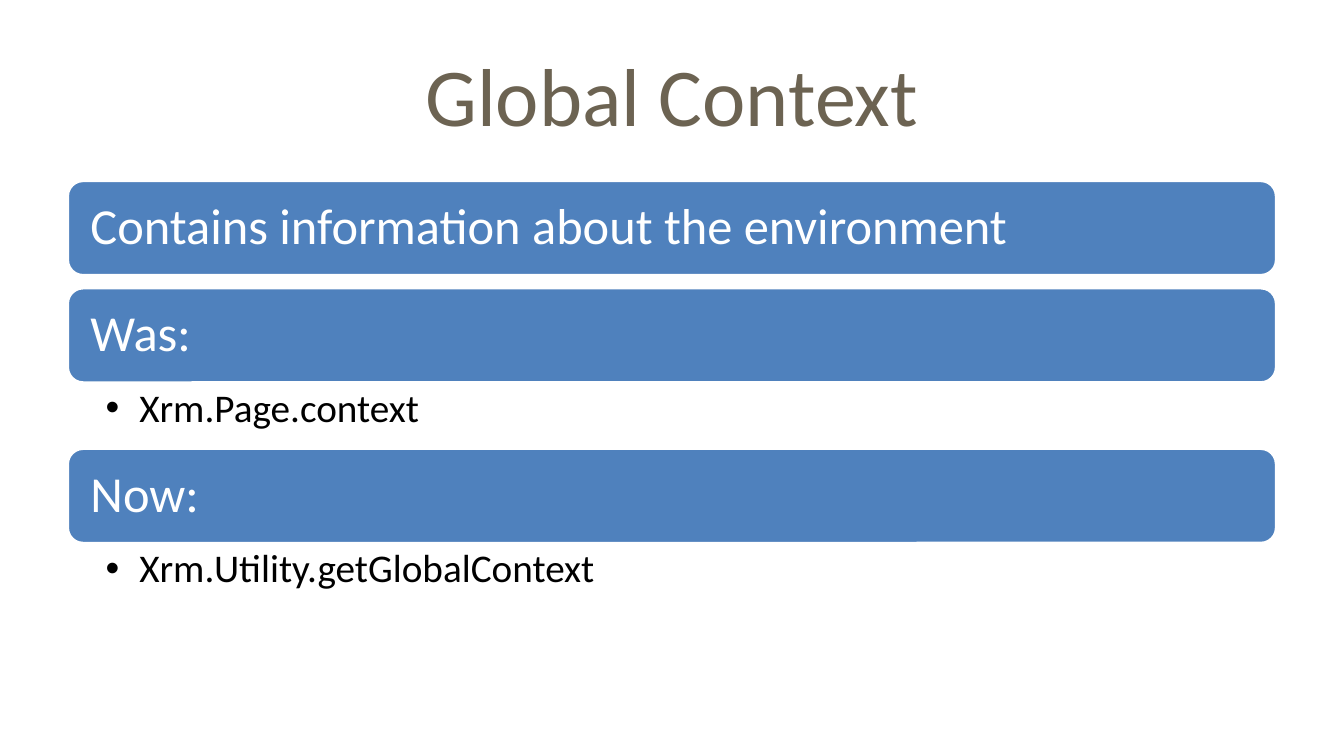
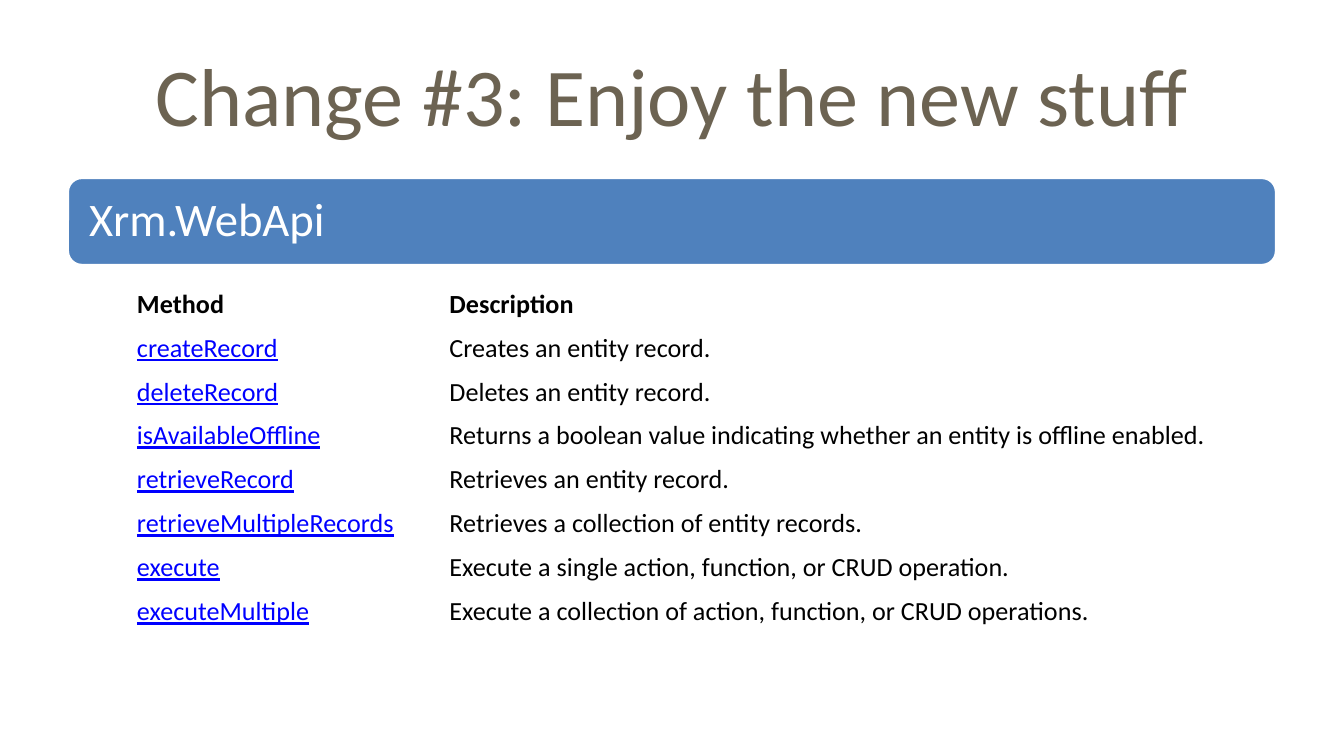
from pptx import Presentation
from pptx.dml.color import RGBColor
from pptx.enum.shapes import MSO_SHAPE
from pptx.enum.text import MSO_ANCHOR, MSO_AUTO_SIZE, PP_ALIGN
from pptx.util import Pt

FONT = "Calibri"
COLORS = {"title": "6C6352", "bar": "4F81BD", "white": "FFFFFF",
          "text": "000000", "link": "0000FF"}

CONTEXT_TITLE = "Global Context"
CONTEXT_SECTIONS = [
    ("Contains information about the environment", None),
    ("Was:", "Xrm.Page.context"),
    ("Now:", "Xrm.Utility.getGlobalContext"),
]

WEB_API_TITLE = "Change #3: Enjoy the new stuff"
WEB_API_HEADING = "Xrm.WebApi"
WEB_API_METHODS = [
    ("Method", "Description"),
    ("createRecord", "Creates an entity record."),
    ("deleteRecord", "Deletes an entity record."),
    ("isAvailableOffline", "Returns a boolean value indicating whether an entity is offline enabled."),
    ("retrieveRecord", "Retrieves an entity record."),
    ("retrieveMultipleRecords", "Retrieves a collection of entity records."),
    ("execute", "Execute a single action, function, or CRUD operation."),
    ("executeMultiple", "Execute a collection of action, function, or CRUD operations."),
]

SLIDE_WIDTH, SLIDE_HEIGHT = 720, 405
LEFT, WIDTH = 36, 648
TITLE_TOP, TITLE_HEIGHT = 16.2, 67.7
BAR_GAP, LIST_HEIGHT = 6.3, 34.8
COLUMN_WIDTHS = (167.4, 419.4)
ROW_HEIGHT = 23.3
TWO_CONTENT, TITLE_ONLY = 3, 5


def set_all(target, values):
    for name, value in values.items():
        setattr(target, name, value)


def color(name):
    return RGBColor.from_string(COLORS[name])


def margins(left, top, right, bottom):
    return {"margin_left": Pt(left), "margin_top": Pt(top),
            "margin_right": Pt(right), "margin_bottom": Pt(bottom)}


def write(frame, text, size, color_name, paragraph_format=None, **font_format):
    para = frame.paragraphs[0]
    set_all(para, paragraph_format or {})
    span = para.add_run()
    span.text = text
    set_all(span.font, {"name": FONT, "size": Pt(size), **font_format})
    span.font.color.rgb = color(color_name)
    return para


def place(shape, top, height):
    set_all(shape, {"left": Pt(LEFT), "top": Pt(top),
                    "width": Pt(WIDTH), "height": Pt(height)})


def add_page(deck, layout, title):
    page = deck.slides.add_slide(deck.slide_layouts[layout])
    place(page.shapes.title, TITLE_TOP, TITLE_HEIGHT)
    frame = page.shapes.title.text_frame
    set_all(frame, {"vertical_anchor": MSO_ANCHOR.MIDDLE,
                    "auto_size": MSO_AUTO_SIZE.NONE})
    write(frame, title, 44, "title", {"alignment": PP_ALIGN.CENTER})
    return page


def add_bar(page, text, top, height, size, inset):
    bar = page.shapes.add_shape(MSO_SHAPE.ROUNDED_RECTANGLE,
                                Pt(LEFT), Pt(top), Pt(WIDTH), Pt(height))
    bar.shadow.inherit = False
    bar.fill.solid()
    bar.fill.fore_color.rgb = color("bar")
    bar.line.color.rgb = color("white")
    bar.line.width = Pt(2)
    set_all(bar.text_frame, {"word_wrap": True,
                             "vertical_anchor": MSO_ANCHOR.MIDDLE,
                             **margins(inset, inset, inset, inset)})
    write(bar.text_frame, text, size, "white",
          {"alignment": PP_ALIGN.LEFT, "line_spacing": 0.9,
           "space_after": Pt(size * 0.35)})


def fill_list(body, text, top):
    place(body, top, LIST_HEIGHT)
    set_all(body.text_frame, {"auto_size": MSO_AUTO_SIZE.NONE,
                              "vertical_anchor": MSO_ANCHOR.TOP,
                              **margins(20.6, 2.7, 15, 2.7)})
    para = write(body.text_frame, text, 21, "text",
                 {"line_spacing": 0.9, "space_before": Pt(0),
                  "space_after": Pt(4.2)})
    properties = para._p.get_or_add_pPr()
    properties.set("marL", str(Pt(18)))
    properties.set("indent", str(-Pt(18)))


def build_context(deck):
    page = add_page(deck, TWO_CONTENT, CONTEXT_TITLE)
    bodies = iter([box for box in page.placeholders
                   if box.placeholder_format.idx > 0])
    top, bar_height = 96.6, 51.2
    for heading, item in CONTEXT_SECTIONS:
        add_bar(page, heading, top, bar_height, 27, 10)
        top += bar_height
        if item:
            fill_list(next(bodies), item, top)
            top += LIST_HEIGHT
        else:
            top += BAR_GAP


def build_web_api(deck):
    page = add_page(deck, TITLE_ONLY, WEB_API_TITLE)
    add_bar(page, WEB_API_HEADING, 95, 47.4, 25, 9.4)
    table = page.shapes.add_table(
        len(WEB_API_METHODS), len(COLUMN_WIDTHS), Pt(66.9), Pt(151.2),
        Pt(sum(COLUMN_WIDTHS)), Pt(ROW_HEIGHT * len(WEB_API_METHODS))).table
    set_all(table, {"first_row": False, "horz_banding": False})
    for column, width in zip(table.columns, COLUMN_WIDTHS):
        column.width = Pt(width)
    for row_index, values in enumerate(WEB_API_METHODS):
        table.rows[row_index].height = Pt(ROW_HEIGHT)
        for column_index, text in enumerate(values):
            cell = table.cell(row_index, column_index)
            cell.fill.background()
            set_all(cell, {"vertical_anchor": MSO_ANCHOR.MIDDLE,
                           **margins(6.5, 3.24, 6.5, 3.24)})
            is_header = row_index == 0
            is_link = column_index == 0 and not is_header
            write(cell.text_frame, text, 14, "link" if is_link else "text",
                  bold=is_header, underline=is_link)


def main():
    deck = Presentation()
    set_all(deck, {"slide_width": Pt(SLIDE_WIDTH), "slide_height": Pt(SLIDE_HEIGHT)})
    build_context(deck)
    build_web_api(deck)
    deck.save("out.pptx")


if __name__ == "__main__":
    main()
